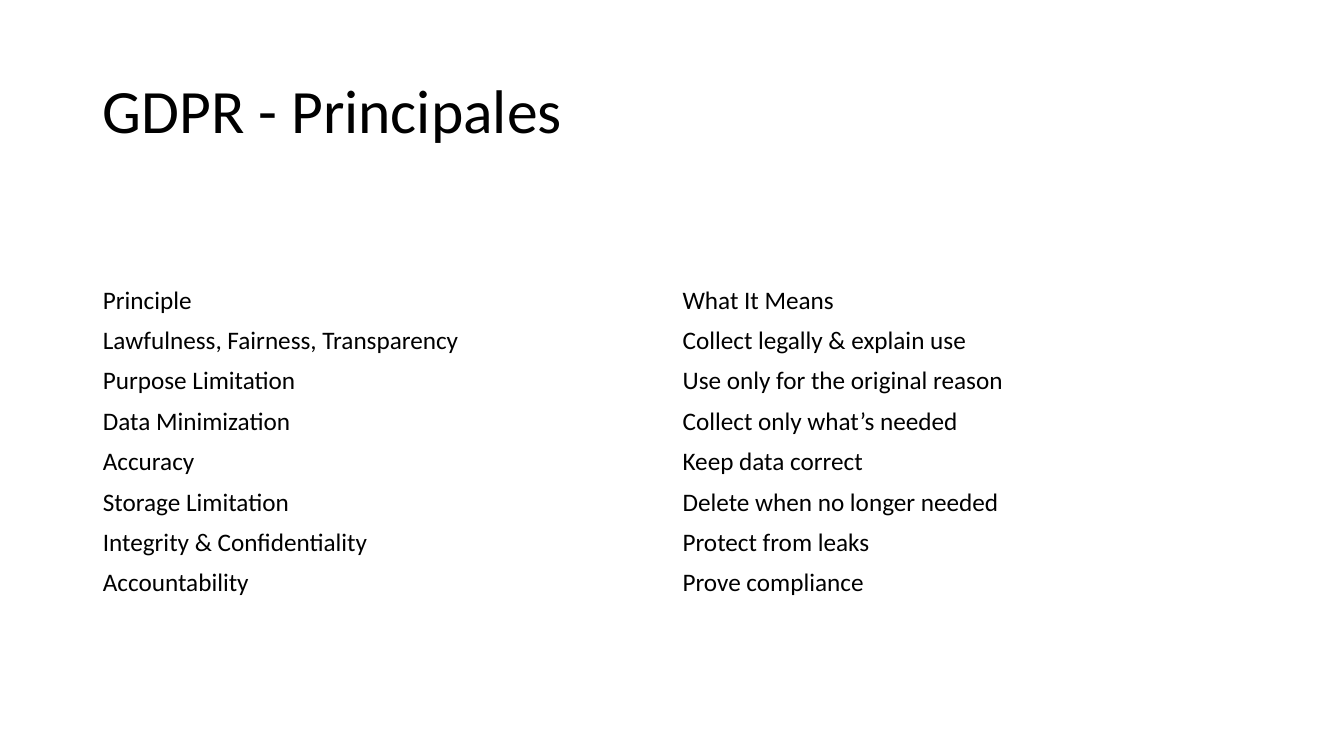
import dataclasses

import pptx
import pptx.dml.color
import pptx.enum.text
import pptx.util


@dataclasses.dataclass(frozen=True)
class Theme:
    """Colours, font and type sizes of the slide."""

    ink: str = "000000"
    font: str = "Calibri"
    title_size: int = 44
    body_size: int = 18


THEME = Theme()
SLIDE_WIDTH, SLIDE_HEIGHT = 13.33, 7.5
MARGIN = 0.92
CONTENT_WIDTH = 11.5
ROW_HEIGHT = 0.4

PRINCIPLES = [
    ("Principle", "What It Means"),
    ("Lawfulness, Fairness, Transparency", "Collect legally & explain use"),
    ("Purpose Limitation", "Use only for the original reason"),
    ("Data Minimization", "Collect only what’s needed"),
    ("Accuracy", "Keep data correct"),
    ("Storage Limitation", "Delete when no longer needed"),
    ("Integrity & Confidentiality", "Protect from leaks"),
    ("Accountability", "Prove compliance"),
]


def write_text(frame, text, size=THEME.body_size, color=THEME.ink, line_spacing=None):
    """Write one formatted paragraph into a text frame."""
    frame.word_wrap = True
    paragraph = frame.paragraphs[0]
    paragraph.line_spacing = line_spacing
    run = paragraph.add_run()
    run.text = text
    run.font.name = THEME.font
    run.font.size = pptx.util.Pt(size)
    run.font.bold = False
    run.font.color.rgb = pptx.dml.color.RGBColor.from_string(color)


def add_heading(slide, text, top, height):
    """Add the slide title across the content width."""
    bounds = (MARGIN, top, CONTENT_WIDTH, height)
    heading = slide.shapes.add_textbox(*map(pptx.util.Inches, bounds)).text_frame
    heading.vertical_anchor = pptx.enum.text.MSO_ANCHOR.MIDDLE
    write_text(heading, text, size=THEME.title_size, line_spacing=0.9)


def add_plain_table(slide, rows, top):
    """Add an unfilled table with equal columns and rows."""
    bounds = (MARGIN, top, CONTENT_WIDTH, ROW_HEIGHT * len(rows))
    table = slide.shapes.add_table(
        len(rows), len(rows[0]), *map(pptx.util.Inches, bounds)
    ).table
    table.first_row = False
    table.horz_banding = False
    for cell, text in zip(table.iter_cells(), (text for row in rows for text in row)):
        cell.fill.background()
        cell.vertical_anchor = pptx.enum.text.MSO_ANCHOR.MIDDLE
        write_text(cell.text_frame, text)


def main():
    """Build and save the slide on GDPR principles."""
    deck = pptx.Presentation()
    deck.slide_width = pptx.util.Inches(SLIDE_WIDTH)
    deck.slide_height = pptx.util.Inches(SLIDE_HEIGHT)
    slide = deck.slides.add_slide(deck.slide_layouts[6])
    add_heading(slide, "GDPR - Principales", top=0.4, height=1.45)
    add_plain_table(slide, PRINCIPLES, top=2.78)
    deck.save("out.pptx")


if __name__ == "__main__":
    main()
